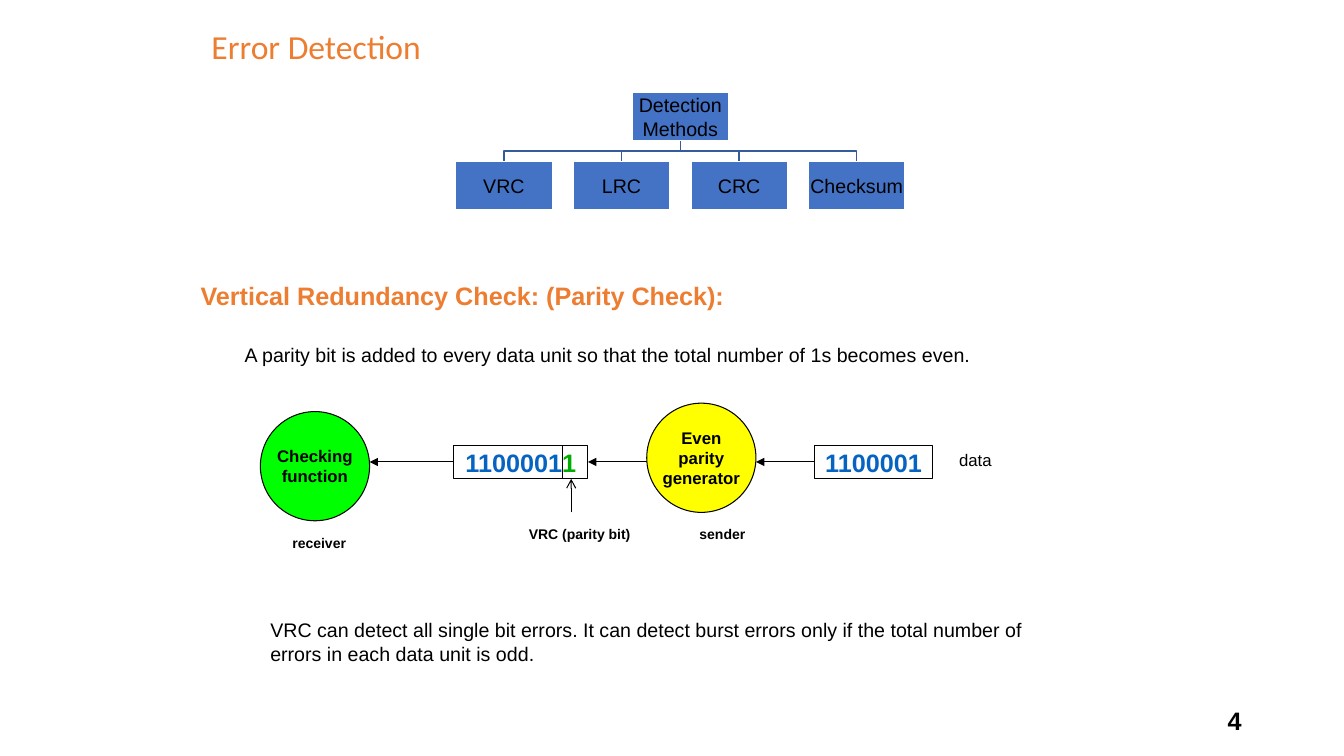
from lxml import etree
from pptx import Presentation
from pptx.dml.color import RGBColor
from pptx.enum.shapes import MSO_CONNECTOR as Link, MSO_SHAPE as Kind
from pptx.enum.text import MSO_ANCHOR as Anchor, PP_ALIGN as Align
from pptx.oxml.ns import qn
from pptx.util import Pt

PX = 9525  # EMU per px, 96 px to the inch

BLACK = RGBColor(0, 0, 0)
WHITE = RGBColor(255, 255, 255)
ORANGE = RGBColor(0xED, 0x7D, 0x31)
BLUE = RGBColor(0x44, 0x72, 0xC4)
NAVY = RGBColor(0x36, 0x5B, 0x9D)
AZURE = RGBColor(0x05, 0x63, 0xC1)
GREEN = RGBColor(0, 0xAC, 0)
LIME = RGBColor(0, 255, 0)
YELLOW = RGBColor(255, 255, 0)

TITLE = "Error Detection"
HEADING = "Vertical Redundancy Check: (Parity Check):"
RULE = ("A parity bit is added to every data unit so that "
        "the total number of 1s becomes even.")
LIMIT = ("VRC can detect all single bit errors. It can detect burst errors only "
         "if the total number of errors in each data unit is odd.")
NUMBER = "4"

ROOT = "Detection Methods"
METHODS = ["VRC", "LRC", "CRC", "Checksum"]

# centre x, centre y, fill, lines
CIRCLES = [
    (300, 444, LIME, ["Checking", "function"]),
    (668, 436, YELLOW, ["Even", "parity", "generator"]),
]
# left, width, coloured runs
UNITS = [
    (432, 128, [("1100001", AZURE), ("1", GREEN)]),
    (776, 112, [("1100001", AZURE)]),
]
# start x, start y, end x, end y, arrowhead
LINES = [
    (776, 440, 720, 440, "triangle"),
    (616, 440, 560, 440, "triangle"),
    (432, 440, 352, 440, "triangle"),
    (536, 424, 536, 456, None),
    (544, 488, 544, 456, "arrow"),
]
# left, top, width, text
LABELS = [
    (256, 504, 96, "receiver"),
    (640, 496, 96, "sender"),
    (472, 496, 160, "VRC (parity bit)"),
]

deck = Presentation()
deck.slide_width, deck.slide_height = 1280 * PX, 720 * PX
slide = deck.slides.add_slide(deck.slide_layouts[6])
shapes = slide.shapes


def scale(*sizes):
    return [size * PX for size in sizes]


def style(par, size, color=BLACK, bold=False, align=Align.LEFT, face="Arial"):
    par.alignment = align
    font = par.font
    font.name, font.size, font.bold = face, Pt(size), bold
    font.color.rgb = color


def write(frame, lines, size, **look):
    frame.text = "\n".join(lines)
    for par in frame.paragraphs:
        style(par, size, **look)


def label(box, text, size, anchor=Anchor.TOP, **look):
    frame = shapes.add_textbox(*scale(*box)).text_frame
    frame.word_wrap = True
    frame.vertical_anchor = anchor
    write(frame, [text], size, **look)
    return frame


def block(kind, box, fill, edge, weight):
    """Add a filled or hollow shape and return its text frame."""
    shape = shapes.add_shape(kind, *scale(*box))
    shape.shadow.inherit = False
    if fill is None:
        shape.fill.background()
    else:
        shape.fill.solid()
        shape.fill.fore_color.rgb = fill
    shape.line.color.rgb = edge
    shape.line.width = Pt(weight)
    frame = shape.text_frame
    frame.vertical_anchor = Anchor.MIDDLE
    frame.word_wrap = False
    return frame


def inset(frame, side, top):
    frame.margin_left = frame.margin_right = side * PX
    frame.margin_top = frame.margin_bottom = top * PX


def node(mid, top, text):
    frame = block(Kind.RECTANGLE, (mid - WIDE // 2, top, WIDE, HIGH), BLUE, WHITE, 1)
    frame.word_wrap = True
    inset(frame, 1, 1)
    write(frame, [text], 14, align=Align.CENTER)


def branch(mid):
    """Draw the elbow from the root node down to one method."""
    bend = (TRUNK + ROW) // 2
    path = shapes.build_freeform(STEM, TRUNK, scale=PX)
    path.add_line_segments([(STEM, bend), (mid, bend), (mid, ROW)], close=False)
    elbow = path.convert_to_shape()
    elbow.shadow.inherit = False
    elbow.fill.background()
    elbow.line.color.rgb = NAVY
    elbow.line.width = Pt(1)


def connect(x1, y1, x2, y2, head):
    link = shapes.add_connector(Link.STRAIGHT, *scale(x1, y1, x2, y2))
    link.line.color.rgb = BLACK
    link.line.width = Pt(0.75)
    if head:
        etree.SubElement(link.line._get_or_add_ln(), qn("a:tailEnd"), type=head)
    etree.SubElement(link._element.spPr, qn("a:effectLst"))


# Title, heading and body text
label((904, 667, 288, 38), NUMBER, 18, Anchor.MIDDLE, bold=True, align=Align.RIGHT)
label((192, 16, 288, 56), TITLE, 24, Anchor.MIDDLE, color=ORANGE, face="Calibri")
intro = label((184, 264, 896, 108), HEADING, 18, color=ORANGE, bold=True)
inset(intro, 7, 3)
rule = intro.add_paragraph()
rule.text = RULE
rule.space_before = Pt(23)
style(rule, 14)
rule._p.get_or_add_pPr().set("marL", str(42 * PX))
label((248, 584, 760, 55), LIMIT, 14)

# Tree of detection methods
WIDE, HIGH, STEP = 92, 46, 112
STEM, TOP, ROW = 648, 88, 154
TRUNK = TOP + HIGH
first = STEM - STEP * (len(METHODS) - 1) // 2
mids = [first + STEP * i for i in range(len(METHODS))]
for mid in reversed(mids):
    branch(mid)
node(STEM, TOP, ROOT)
for mid, name in zip(mids, METHODS):
    node(mid, ROW, name)

# Parity check from sender to receiver
SIZE = 104
for x, y, fill, lines in CIRCLES:
    box = (x - SIZE // 2, y - SIZE // 2, SIZE, SIZE)
    write(block(Kind.OVAL, box, fill, BLACK, 0.75), lines, 12,
          bold=True, align=Align.CENTER)
for left, width, runs in UNITS:
    frame = block(Kind.RECTANGLE, (left, 424, width, 32), None, BLACK, 0.75)
    par = frame.paragraphs[0]
    style(par, 18, bold=True, align=Align.CENTER)
    for text, color in runs:
        run = par.add_run()
        run.text = text
        run.font.color.rgb = color
for line in LINES:
    connect(*line)
for left, top, width, text in LABELS:
    label((left, top, width, 26), text, 10, bold=True, align=Align.CENTER)
label((904, 424, 120, 29), "data", 12)

deck.save("out.pptx")
